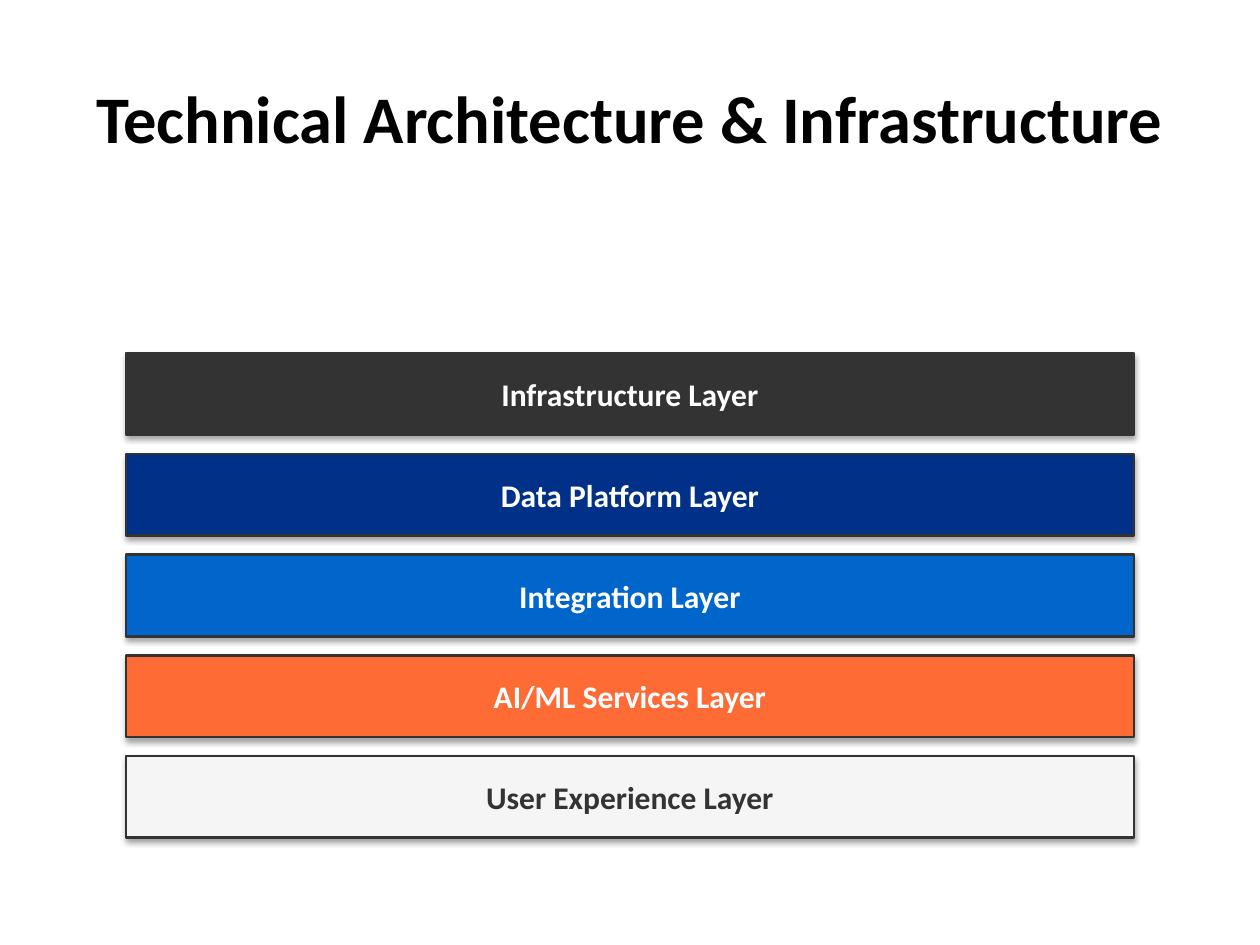
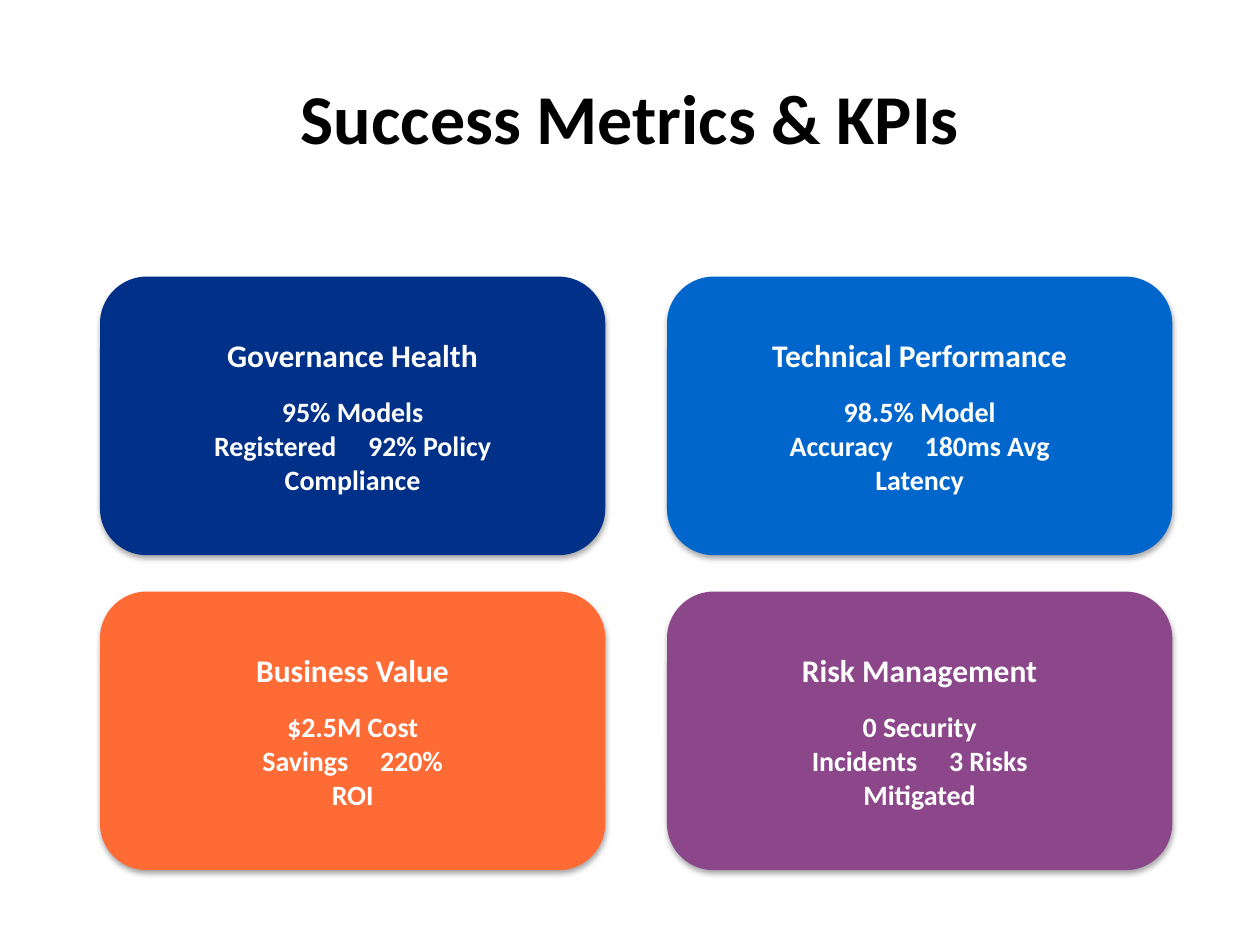
from dataclasses import dataclass

from pptx import Presentation
from pptx.dml.color import RGBColor
from pptx.enum.shapes import MSO_SHAPE
from pptx.enum.text import MSO_ANCHOR, PP_ALIGN
from pptx.presentation import Presentation as Deck
from pptx.shapes.autoshape import Shape
from pptx.slide import Slide
from pptx.text.text import _Paragraph as Paragraph
from pptx.util import Cm, Pt

COLORS = {
    "black": "000000",
    "white": "FFFFFF",
    "dark": "333333",
    "light": "F5F5F5",
    "navy": "003087",
    "blue": "0066CC",
    "orange": "FF6B35",
    "purple": "8B4789",
}
FONT = "Calibri"
LABEL_SIZE = 18
METRIC_SIZE = 16
METRIC_GAP = Pt(14.5)


@dataclass(frozen=True)
class Box:
    left: float
    top: float
    width: float
    height: float


@dataclass(frozen=True)
class Layer:
    label: str
    fill: str
    text: str = "white"


@dataclass(frozen=True)
class Card:
    title: str
    first_metric: str
    second_metric: tuple[str, ...]
    fill: str


TITLE_BOX = Box(1.27, 0.76, 22.86, 3.18)
BOTTOM_LAYER = Box(2.54, 15.24, 20.32, 1.65)
LAYER_PITCH = 2.03
FIRST_CARD = Box(2.03, 5.59, 10.16, 5.59)
CARD_PITCH_X = 11.43
CARD_PITCH_Y = 6.35

LAYERS = [
    Layer("User Experience Layer", "light", "dark"),
    Layer("AI/ML Services Layer", "orange"),
    Layer("Integration Layer", "blue"),
    Layer("Data Platform Layer", "navy"),
    Layer("Infrastructure Layer", "dark"),
]
CARDS = [
    Card("Governance Health", "95% Models\nRegistered", ("92% Policy", "Compliance"), "navy"),
    Card("Technical Performance", "98.5% Model\nAccuracy", ("180ms Avg", "Latency"), "blue"),
    Card("Business Value", "$2.5M Cost\nSavings", ("220%", "ROI"), "orange"),
    Card("Risk Management", "0 Security\nIncidents", ("3 Risks", "Mitigated"), "purple"),
]


def rgb(name: str) -> RGBColor:
    return RGBColor.from_string(COLORS[name])


def format_paragraph(p: Paragraph, size: float, color: str) -> None:
    p.alignment = PP_ALIGN.CENTER
    for r in p.runs:
        r.font.name = FONT
        r.font.size = Pt(size)
        r.font.bold = True
        r.font.color.rgb = rgb(color)


def add_titled_slide(prs: Deck, title: str, size: float) -> Slide:
    s = prs.slides.add_slide(prs.slide_layouts[5])
    sp = s.shapes.title
    sp.left, sp.top = Cm(TITLE_BOX.left), Cm(TITLE_BOX.top)
    sp.width, sp.height = Cm(TITLE_BOX.width), Cm(TITLE_BOX.height)
    tf = sp.text_frame
    tf.text = title
    tf.vertical_anchor = MSO_ANCHOR.MIDDLE
    format_paragraph(tf.paragraphs[0], size, "black")
    return s


def add_block(s: Slide, kind: MSO_SHAPE, box: Box, fill: str, line: str, line_width: float) -> Shape:
    sp = s.shapes.add_shape(kind, Cm(box.left), Cm(box.top), Cm(box.width), Cm(box.height))
    sp.fill.solid()
    sp.fill.fore_color.rgb = rgb(fill)
    sp.line.color.rgb = rgb(line)
    sp.line.width = Pt(line_width)
    sp.text_frame.word_wrap = True
    sp.text_frame.vertical_anchor = MSO_ANCHOR.MIDDLE
    return sp


def add_layer(s: Slide, layer: Layer, level: int) -> None:
    base = BOTTOM_LAYER
    box = Box(base.left, base.top - level * LAYER_PITCH, base.width, base.height)
    sp = add_block(s, MSO_SHAPE.RECTANGLE, box, layer.fill, "dark", 1.5)
    sp.text_frame.text = layer.label
    format_paragraph(sp.text_frame.paragraphs[0], LABEL_SIZE, layer.text)


def add_card(s: Slide, card: Card, index: int) -> None:
    row, col = divmod(index, 2)
    base = FIRST_CARD
    box = Box(base.left + col * CARD_PITCH_X, base.top + row * CARD_PITCH_Y, base.width, base.height)
    sp = add_block(s, MSO_SHAPE.ROUNDED_RECTANGLE, box, card.fill, card.fill, 0.75)
    tf = sp.text_frame
    tf.text = card.title
    tf.paragraphs[0].space_after = Pt(12)
    format_paragraph(tf.paragraphs[0], LABEL_SIZE, "white")

    p = tf.add_paragraph()
    p.text = card.first_metric
    gap = p.add_run()
    gap.text = " "
    gap._r.get_or_add_rPr().set("spc", str(int(METRIC_GAP.pt * 100)))
    for i, words in enumerate(card.second_metric):
        if i:
            p.add_line_break()
        p.add_run().text = words
    format_paragraph(p, METRIC_SIZE, "white")


def main() -> None:
    prs = Presentation()
    prs.slide_width, prs.slide_height = Cm(25.4), Cm(19.05)

    s = add_titled_slide(prs, "Technical Architecture & Infrastructure", 38)
    for level, layer in enumerate(LAYERS):
        add_layer(s, layer, level)

    s = add_titled_slide(prs, "Success Metrics & KPIs", 40)
    for index, card in enumerate(CARDS):
        add_card(s, card, index)

    prs.save("out.pptx")


if __name__ == "__main__":
    main()
